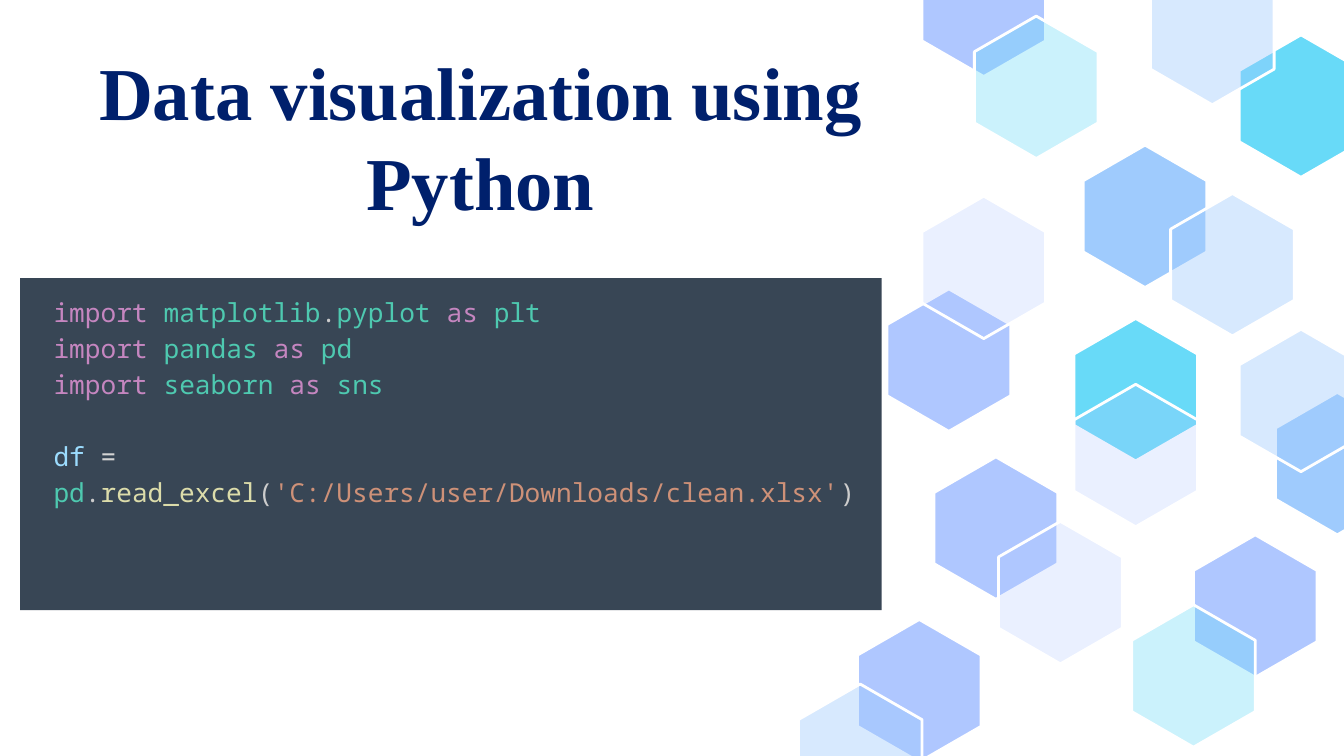
import pptx
import pptx.util
import pptx.dml.color
import pptx.enum.shapes
import pptx.enum.text
import pptx.oxml.ns
import lxml.etree

Inches = pptx.util.Inches
Pt = pptx.util.Pt
RGBColor = pptx.dml.color.RGBColor
ALIGN = pptx.enum.text.PP_ALIGN
ANCHOR = pptx.enum.text.MSO_ANCHOR

WHITE = RGBColor(0xFF, 0xFF, 0xFF)
NAVY = RGBColor(0x00, 0x20, 0x6C)
SLATE = RGBColor(0x38, 0x46, 0x55)
LILAC = RGBColor(0xAF, 0xC7, 0xFF)
SKY = RGBColor(0x9F, 0xCB, 0xFD)
CYAN = RGBColor(0x68, 0xDA, 0xF8)
PURPLE = RGBColor(0xC5, 0x86, 0xC0)
TEAL = RGBColor(0x4E, 0xC9, 0xB0)
GREY = RGBColor(0xCC, 0xCC, 0xCC)
SILVER = RGBColor(0xD4, 0xD4, 0xD4)
AZURE = RGBColor(0x9C, 0xDC, 0xFE)
YELLOW = RGBColor(0xDC, 0xDC, 0xAA)
ORANGE = RGBColor(0xCE, 0x91, 0x78)

FRAME = {"word_wrap": True, "margin_left": Inches(0.1), "margin_right": Inches(0.1),
         "margin_top": Inches(0.1), "margin_bottom": Inches(0.1)}
HEAD = {"name": "Times New Roman", "size": Pt(40), "bold": True}
MONO = {"name": "Noto Sans Mono", "size": Pt(14)}

CODE = [
    [("import ", PURPLE), ("matplotlib", TEAL), (".", GREY), ("pyplot ", TEAL),
     ("as ", PURPLE), ("plt", TEAL)],
    [("import ", PURPLE), ("pandas ", TEAL), ("as ", PURPLE), ("pd", TEAL)],
    [("import ", PURPLE), ("seaborn ", TEAL), ("as ", PURPLE), ("sns", TEAL)],
    [("df ", AZURE), ("= ", SILVER), ("pd", TEAL), (".", GREY), ("read_excel", YELLOW),
     ("(", GREY), ("'C:/Users/user/Downloads/clean.xlsx'", ORANGE), (")", GREY)],
]

TINTS = {"lilac": (LILAC, 100), "mist": (LILAC, 25), "sky": (SKY, 100),
         "pale": (SKY, 41), "cyan": (CYAN, 100), "foam": (CYAN, 34)}
HEXES = [
    (2.06, 1.08, "sky"), (0.6, 2.15, "lilac"), (1.99, 2.37, "cyan"),
    (0.86, -0.49, "lilac"), (0.38, 4.61, "lilac"), (0.86, 1.46, "mist"),
    (3.22, 0.26, "cyan"), (1.99, 2.86, "mist"), (2.71, 1.44, "pale"),
    (0.95, 3.4, "lilac"), (1.43, 3.88, "mist"), (-0.06, 5.09, "pale"),
    (3.49, 2.92, "sky"), (3.22, 2.45, "pale"), (2.88, 3.98, "lilac"),
    (2.42, 4.5, "foam"), (1.25, 0.12, "foam"), (2.56, -0.28, "pale"),
]
WIDE, TALL = 0.92, 1.06


def style(item, values):
    for key, value in values.items():
        setattr(item, key, value)


def write(para, text, color, values):
    run = para.add_run()
    run.text = text
    style(run.font, values)
    run.font.color.rgb = color


def add_title(slide, left, top, width, height):
    box = slide.shapes.add_textbox(Inches(left), Inches(top), Inches(width), Inches(height))
    frame = box.text_frame
    style(frame, {**FRAME, "vertical_anchor": ANCHOR.MIDDLE})
    para = frame.paragraphs[0]
    para.alignment = ALIGN.CENTER
    write(para, "Data visualization using Python", NAVY, HEAD)


def add_hex(slide, left, top, tint):
    color, alpha = TINTS[tint]
    spots = [(0.5, 0), (0, 0.25), (0, 0.75), (0.5, 1), (1, 0.75), (1, 0.25)]
    points = [(Inches(left + x * WIDE), Inches(top + y * TALL)) for x, y in spots]
    pen = slide.shapes.build_freeform(*points[0], scale=1.0)
    pen.add_line_segments(points[1:], close=True)
    shape = pen.convert_to_shape()
    shape.shadow.inherit = False
    shape.fill.solid()
    shape.fill.fore_color.rgb = color
    shape.line.color.rgb = WHITE
    shape.line.width = Pt(1.5)
    if alpha < 100:
        qn = pptx.oxml.ns.qn
        node = shape.fill._xPr.find(qn("a:solidFill")).find(qn("a:srgbClr"))
        lxml.etree.SubElement(node, qn("a:alpha")).set("val", str(alpha * 1000))


def add_comb(slide, left, top):
    for x, y, tint in HEXES:
        add_hex(slide, left + x, top + y, tint)


def add_code(slide, left, top, width, height):
    kind = pptx.enum.shapes.MSO_SHAPE.RECTANGLE
    box = slide.shapes.add_shape(kind, Inches(left), Inches(top), Inches(width), Inches(height))
    box.shadow.inherit = False
    box.fill.solid()
    box.fill.fore_color.rgb = SLATE
    box.line.fill.background()
    frame = box.text_frame
    style(frame, {**FRAME, "vertical_anchor": ANCHOR.TOP})
    for row, parts in enumerate(CODE):
        para = frame.add_paragraph() if row else frame.paragraphs[0]
        style(para, {"alignment": ALIGN.LEFT, "line_spacing": 1.15})
        para._p.get_or_add_pPr().set("marL", str(Inches(0.15)))
        for text, color in parts:
            write(para, text, color, MONO)
    para.space_before = Pt(19.5)


def main():
    deck = pptx.Presentation()
    deck.slide_width = Inches(10)
    deck.slide_height = deck.slide_width * 9 // 16
    slide = deck.slides.add_slide(deck.slide_layouts[6])
    add_title(slide, 0.26, 0.2, 6.63, 1.62)
    add_comb(slide, 6, 0)
    add_code(slide, 0.15, 2.07, 6.41, 2.47)
    deck.save("out.pptx")


if __name__ == "__main__":
    main()
